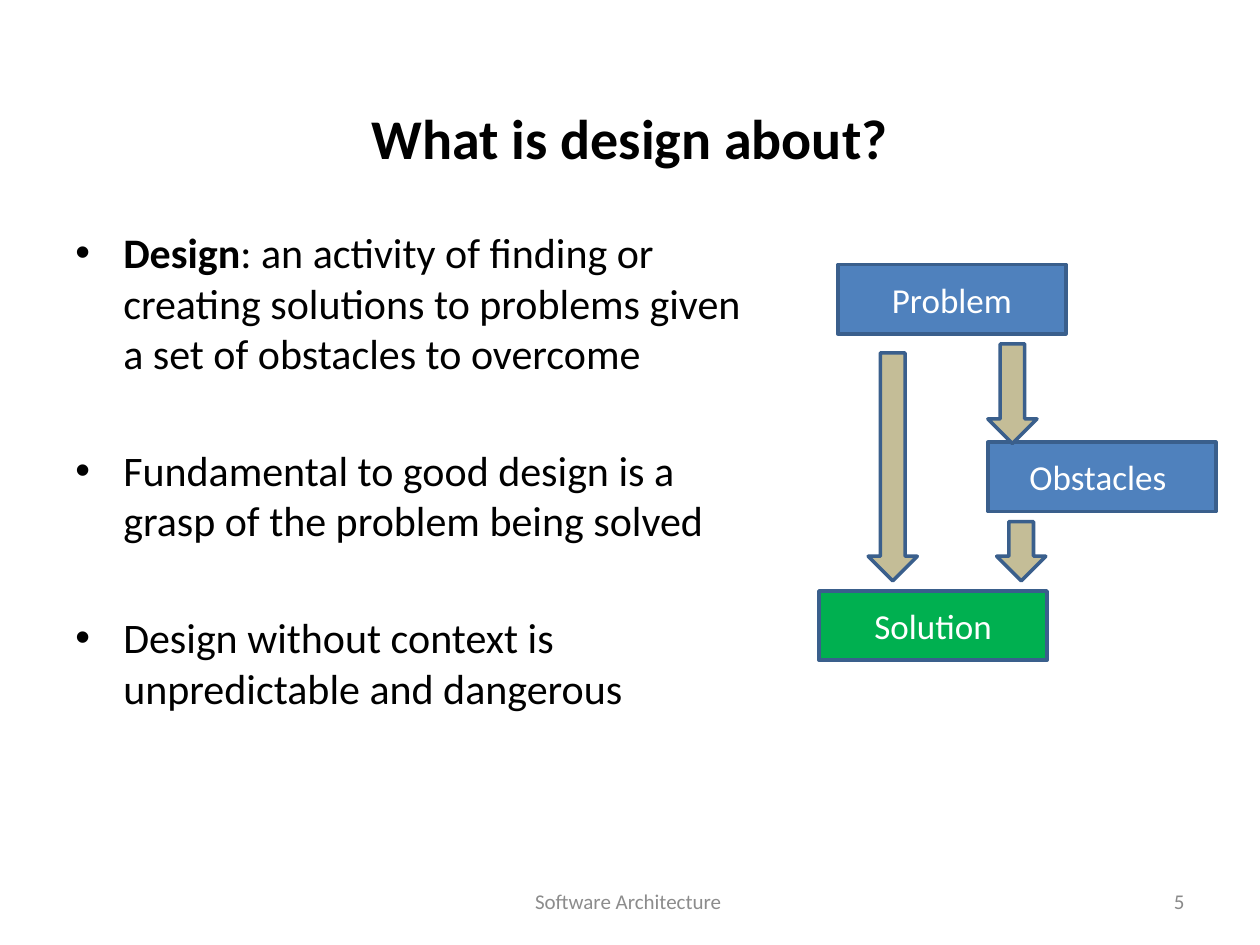
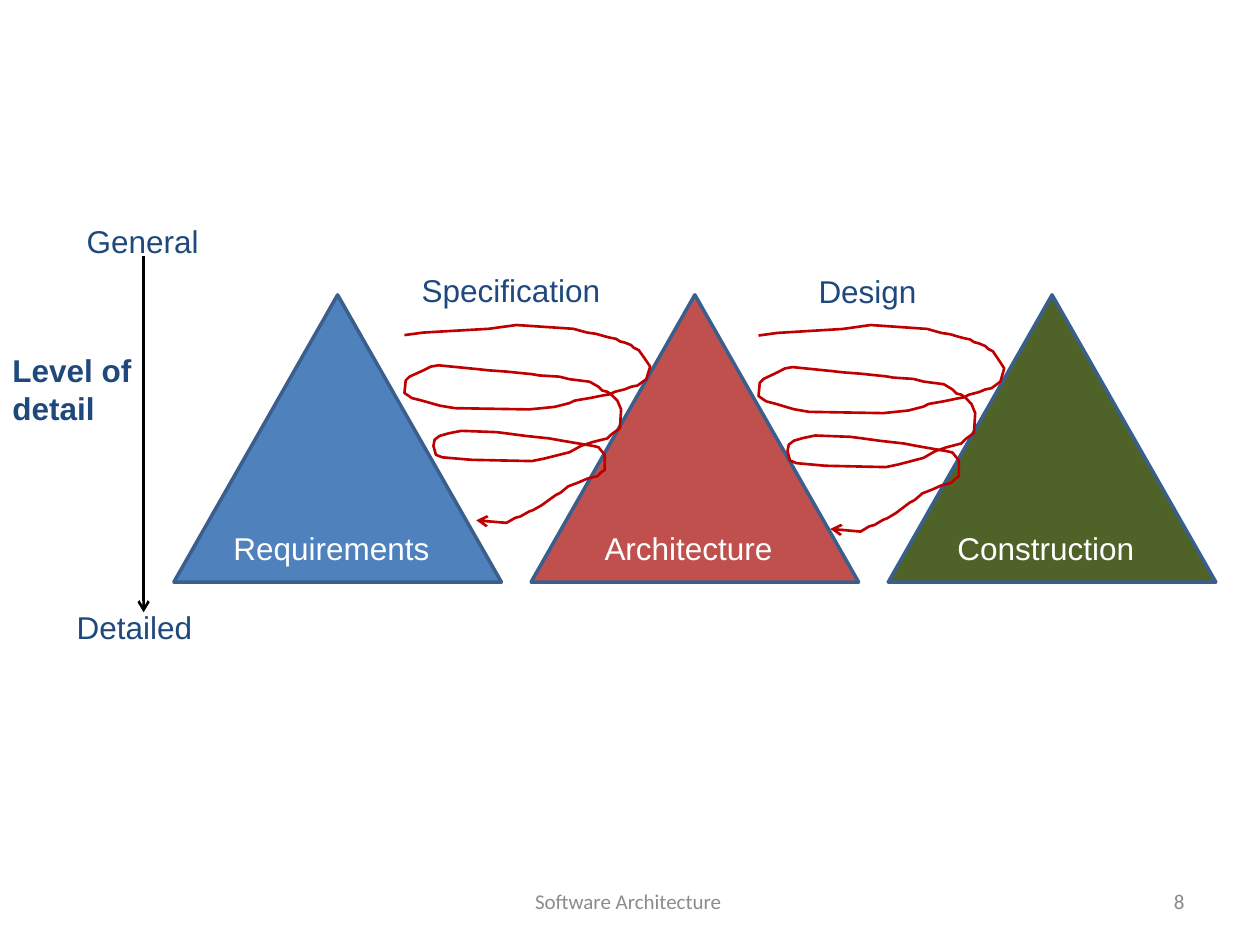
"""Build two software design slides: the design activity and the levels of detail."""
import dataclasses

import pptx
import pptx.dml.color
import pptx.enum.shapes
import pptx.enum.text
import pptx.oxml.ns
import pptx.util
from lxml import etree

Inches = pptx.util.Inches
Pt = pptx.util.Pt
Align = pptx.enum.text.PP_ALIGN
Anchor = pptx.enum.text.MSO_ANCHOR
Shape = pptx.enum.shapes.MSO_SHAPE
qn = pptx.oxml.ns.qn


@dataclasses.dataclass(frozen=True)
class Theme:
    heading_font: str = "Calibri"
    label_font: str = "Arial"
    black: str = "000000"
    white: str = "FFFFFF"
    navy: str = "1F497D"
    blue: str = "4F81BD"
    outline: str = "3A5F8C"
    green: str = "00B050"
    tan: str = "C4BD97"
    red: str = "C0504D"
    olive: str = "4F6228"
    scribble: str = "C00000"
    footer: str = "8C8C8C"
    number: str = "898989"
    title_size: int = 32
    body_size: int = 24
    box_size: int = 20
    label_size: int = 18
    footer_size: int = 12
    outline_width: float = 2
    stroke_width: float = 1.5
    bullet_gap: int = 38


LOOPS = [
    (0, 8), (15, 6), (67, 3), (89, 0), (134, 3), (145, 6), (152, 7), (159, 9),
    (163, 10), (168, 11), (171, 13), (175, 14), (180, 16), (182, 18), (186, 20),
    (191, 27), (195, 33), (192, 43), (185, 48), (180, 49), (175, 51), (167, 53),
    (163, 55), (157, 56), (147, 58), (135, 60), (131, 62), (119, 65), (99, 67),
    (40, 66), (28, 64), (14, 60), (6, 58), (0, 54), (1, 44), (4, 41), (15, 36),
    (21, 33), (27, 32), (58, 35), (67, 36), (81, 37), (101, 39), (107, 40),
    (123, 41), (131, 43), (147, 45), (154, 49), (157, 52), (161, 53), (164, 55),
    (167, 58), (169, 60), (172, 67), (171, 82), (164, 87), (161, 90), (153, 92),
    (149, 93), (140, 96), (131, 101), (119, 104), (111, 106), (101, 108),
    (53, 107), (30, 105), (25, 103), (23, 96), (24, 91), (28, 88), (35, 86),
    (45, 84), (73, 85), (81, 86), (96, 88), (115, 90), (126, 92), (138, 94),
    (150, 96), (154, 97), (159, 103), (159, 115), (156, 117), (153, 120),
    (145, 122), (138, 125), (130, 128), (124, 133), (120, 135), (109, 143),
    (102, 147), (99, 148), (92, 152), (88, 153), (81, 157), (57, 155),
]
LOOPS_HEIGHT = 1.58


class SlideBuilder:
    """Hold the theme and the current slide, and draw each kind of element."""

    def __init__(self, theme):
        self.theme = theme
        self.deck = pptx.Presentation()
        self.deck.slide_width, self.deck.slide_height = Inches(10), Inches(7.5)
        self.page = None

    def new_page(self, number, title=None):
        theme = self.theme
        self.page = self.deck.slides.add_slide(self.deck.slide_layouts[5 if title else 6])
        if title:
            box = self.page.shapes.title
            box.left, box.top, box.width, box.height = map(Inches, (0.5, 0.62, 9, 0.94))
            self.set_text(box, title, theme.title_size, theme.black, theme.heading_font,
                          Align.CENTER, Anchor.MIDDLE, bold=True)
        self.label("Software Architecture ", 3.42, 6.95, 3.17, 0.4, theme.footer_size,
                   theme.footer, theme.heading_font, Align.CENTER, Anchor.MIDDLE)
        self.label(str(number), 7.17, 6.95, 2.33, 0.4, theme.footer_size,
                   theme.number, theme.heading_font, Align.RIGHT, Anchor.MIDDLE)

    def color(self, value):
        return pptx.dml.color.RGBColor.from_string(value)

    def style(self, span, size, color, font, bold=False):
        span.font.size, span.font.name, span.font.bold = Pt(size), font, bold
        span.font.color.rgb = self.color(color)

    def set_text(self, box, text, size, color, font, align, anchor, bold=False):
        frame = box.text_frame
        frame.word_wrap, frame.vertical_anchor = True, anchor
        frame.text = text
        para = frame.paragraphs[0]
        para.alignment = align
        self.style(para.runs[0], size, color, font, bold)

    def label(self, text, left, top, width, height=0.4, size=None, color=None, font=None,
              align=Align.LEFT, anchor=Anchor.TOP, bold=False):
        theme = self.theme
        box = self.page.shapes.add_textbox(*map(Inches, (left, top, width, height)))
        self.set_text(box, text, size or theme.label_size, color or theme.navy,
                      font or theme.label_font, align, anchor, bold)

    def bullets(self, items, left, top, width, height):
        theme = self.theme
        frame = self.page.shapes.add_textbox(
            *map(Inches, (left, top, width, height))).text_frame
        frame.word_wrap = True
        for index, (lead, rest) in enumerate(items):
            para = frame.add_paragraph() if index else frame.paragraphs[0]
            para.space_before = Pt(theme.bullet_gap if index else 0)
            for text, bold in ((lead, True), (rest, False)):
                if text:
                    span = para.add_run()
                    span.text = text
                    self.style(span, theme.body_size, theme.black, theme.heading_font, bold)
            settings = para._p.get_or_add_pPr()
            settings.set("marL", str(Inches(0.38)))
            settings.set("indent", str(Inches(-0.38)))
            etree.SubElement(settings, qn("a:buFont"), typeface="Arial")
            etree.SubElement(settings, qn("a:buChar"), char="•")

    def shape(self, kind, fill, left, top, width, height, text=None):
        theme = self.theme
        box = self.page.shapes.add_shape(kind, *map(Inches, (left, top, width, height)))
        box.shadow.inherit = False
        box.fill.solid()
        box.fill.fore_color.rgb = self.color(fill)
        self.stroke(box.line, theme.outline, theme.outline_width)
        if text:
            self.set_text(box, text, theme.box_size, theme.white, theme.heading_font,
                          Align.CENTER, Anchor.MIDDLE)

    def stroke(self, line, color, width, arrow=False):
        line.color.rgb = self.color(color)
        line.width = Pt(width)
        if arrow:
            etree.SubElement(line._get_or_add_ln(), qn("a:tailEnd"), type="arrow")

    def arrow(self, left, top, right, bottom):
        line = self.page.shapes.add_connector(
            pptx.enum.shapes.MSO_CONNECTOR.STRAIGHT,
            *map(Inches, (left, top, right, bottom)))
        self.stroke(line.line, self.theme.black, self.theme.stroke_width, arrow=True)
        etree.SubElement(line._element.spPr, qn("a:effectLst"))

    def loops(self, left, top, height):
        unit = Inches(0.01)
        builder = self.page.shapes.build_freeform(
            *LOOPS[0], scale=(unit, unit * height / LOOPS_HEIGHT))
        builder.add_line_segments(LOOPS[1:], close=False)
        curve = builder.convert_to_shape(Inches(left), Inches(top))
        curve.shadow.inherit = False
        curve.fill.background()
        self.stroke(curve.line, self.theme.scribble, self.theme.stroke_width, arrow=True)


def draw_design_activity(slides):
    theme = slides.theme
    slides.new_page(5, "What is design about?")
    slides.bullets([
        ("Design", ": an activity of finding or creating solutions to problems "
                   "given a set of obstacles to overcome"),
        ("", "Fundamental to good design is a grasp of the problem being solved"),
        ("", "Design without context is unpredictable and dangerous"),
    ], 0.5, 1.75, 5.68, 4.44)
    for text, fill, left, top in (("Problem", theme.blue, 6.65, 2.1),
                                  ("Obstacles ", theme.blue, 7.84, 3.51),
                                  ("Solution", theme.green, 6.5, 4.69)):
        slides.shape(Shape.RECTANGLE, fill, left, top, 1.81, 0.55, text)
    for left, top, height in ((6.89, 2.8, 1.81), (7.84, 2.73, 0.79), (7.91, 4.14, 0.47)):
        slides.shape(Shape.DOWN_ARROW, theme.tan, left, top, 0.39, height)


def draw_levels_of_detail(slides):
    theme = slides.theme
    slides.new_page(8)
    first, last = 1.38, 7.05
    stages = (("Requirements", theme.blue), ("Architecture", theme.red),
              ("Construction", theme.olive))
    for index, (text, fill) in enumerate(stages):
        left = first + index * (last - first) / (len(stages) - 1)
        slides.shape(Shape.ISOSCELES_TRIANGLE, fill, left, 2.34, 2.6, 2.28)
        slides.label(text, left + 0.15, 4.15, 2.2, color=theme.white, align=Align.CENTER)
    slides.loops(3.21, 2.58, LOOPS_HEIGHT)
    slides.loops(6.02, 2.58, 1.65)
    slides.label("Specification", 3.11, 2.1, 1.89, align=Align.CENTER)
    slides.label("Design", 5.94, 2.11, 1.89, align=Align.CENTER)
    slides.arrow(1.14, 2.03, 1.14, 4.86)
    slides.label("Level of detail", 0, 2.74, 1.26, 0.71, bold=True)
    slides.label("General", 0.59, 1.71, 1.26)
    slides.label("Detailed", 0.51, 4.78, 1.26)


def main():
    slides = SlideBuilder(Theme())
    draw_design_activity(slides)
    draw_levels_of_detail(slides)
    slides.deck.save("out.pptx")


if __name__ == "__main__":
    main()
